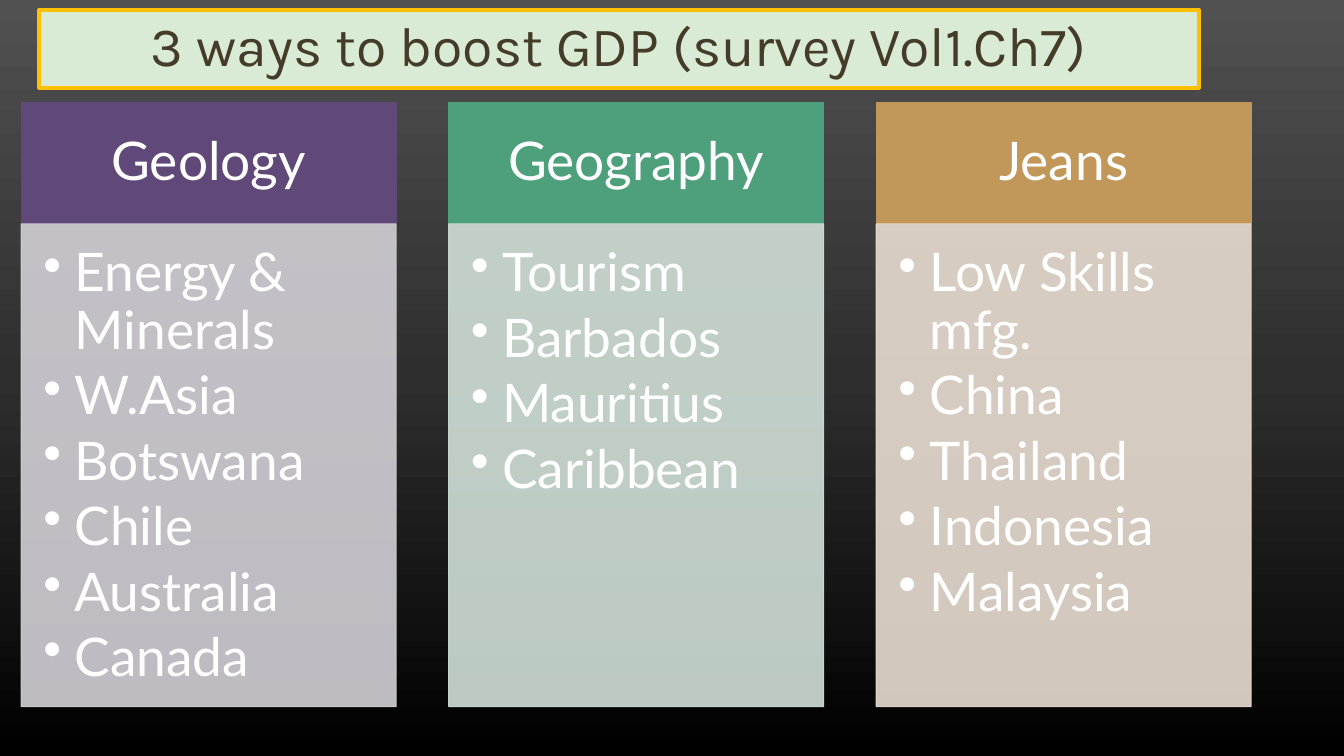
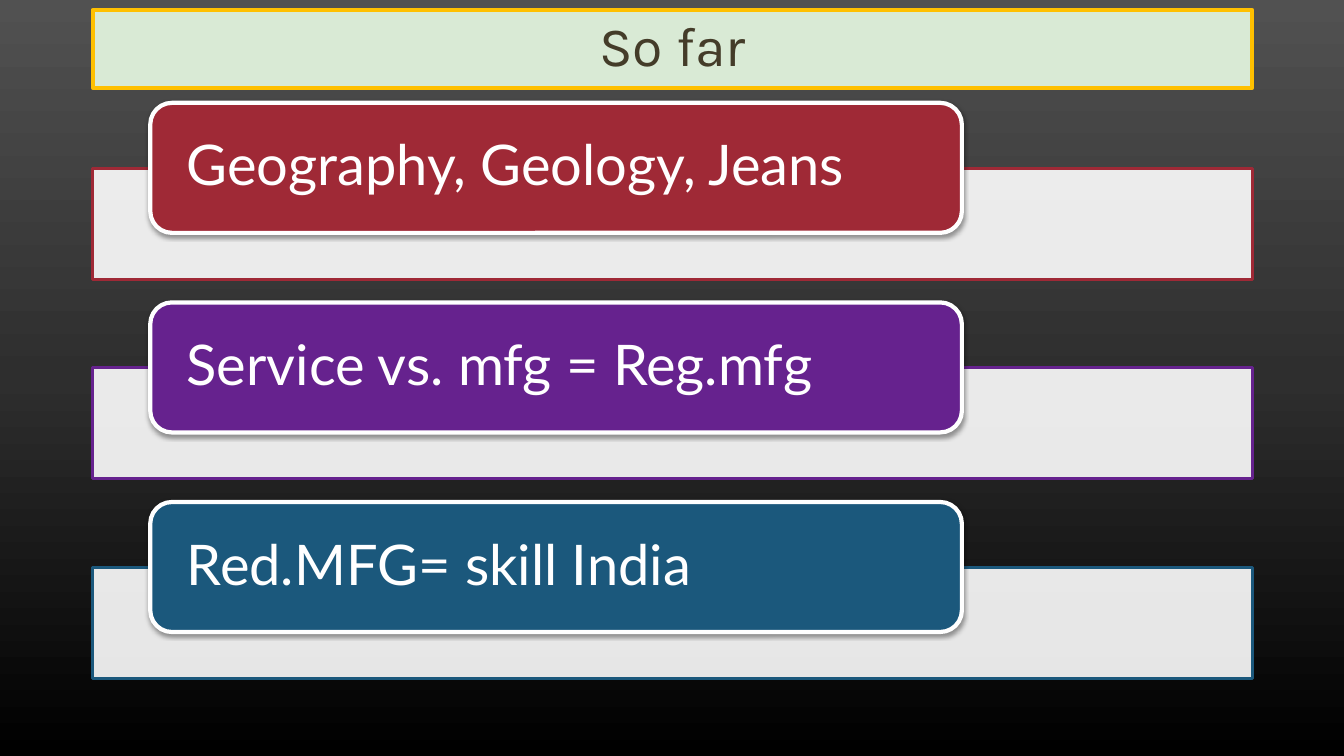
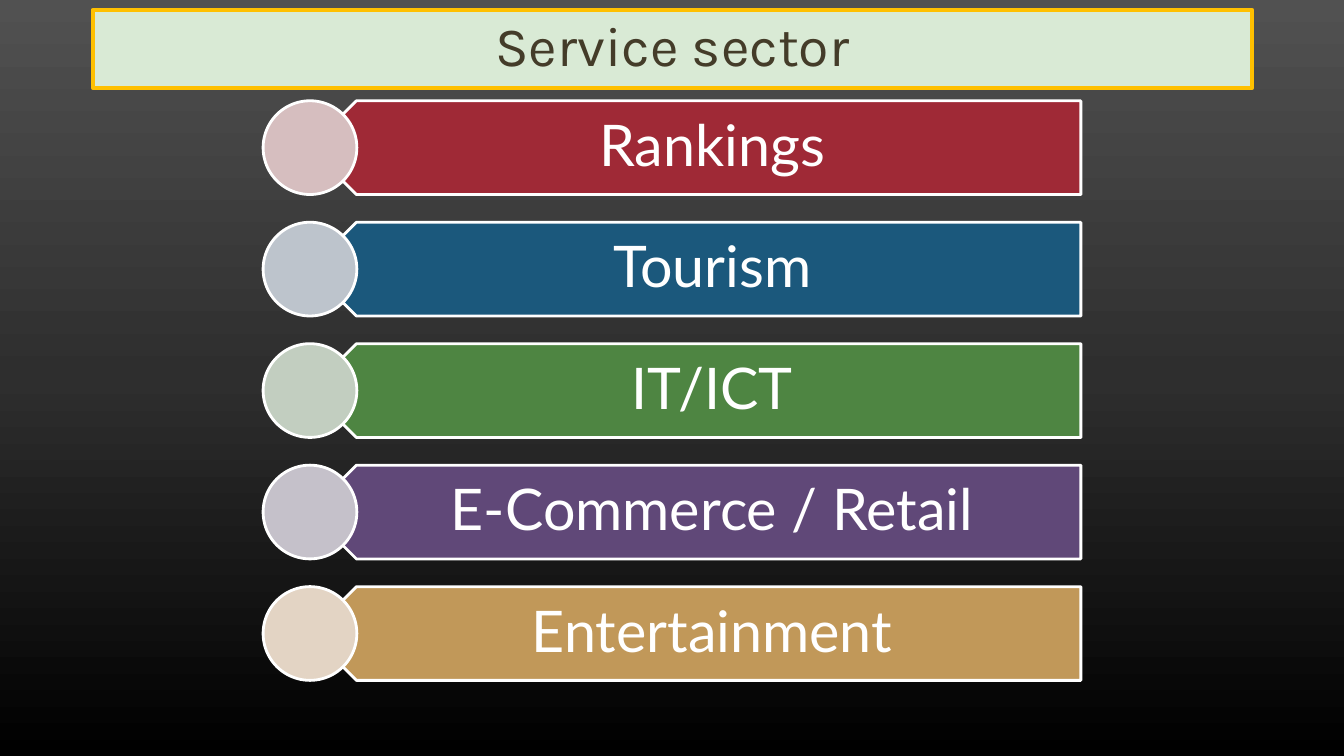
import copy
import lxml.etree
import pptx
import pptx.util
import pptx.dml.color
import pptx.enum.shapes
import pptx.enum.text
import pptx.oxml
import pptx.oxml.ns

Inches = pptx.util.Inches
Pt = pptx.util.Pt
RGBColor = pptx.dml.color.RGBColor
SHAPE = pptx.enum.shapes.MSO_SHAPE
ALIGN = pptx.enum.text.PP_ALIGN
ANCHOR = pptx.enum.text.MSO_ANCHOR
qn = pptx.oxml.ns.qn

WHITE = RGBColor(0xFF, 0xFF, 0xFF)
BROWN = RGBColor(0x44, 0x3C, 0x29)
MINT = RGBColor(0xD9, 0xEA, 0xD5)
GOLD = RGBColor(0xFF, 0xC0, 0x00)
RED = RGBColor(0x9F, 0x29, 0x36)
BLUE = RGBColor(0x1B, 0x58, 0x7C)
GREEN = RGBColor(0x4E, 0x85, 0x42)
PLUM = RGBColor(0x60, 0x48, 0x78)
TAN = RGBColor(0xC1, 0x98, 0x59)
TEAL = RGBColor(0x4D, 0xA0, 0x7B)
VIOLET = RGBColor(0x66, 0x22, 0x8E)
PALE_PLUM = RGBColor(0xD2, 0xCF, 0xD6)
PALE_TEAL = RGBColor(0xD0, 0xE0, 0xD7)
PALE_TAN = RGBColor(0xE9, 0xDD, 0xD1)
DOT_RED = RGBColor(0xD6, 0xBE, 0xBF)
DOT_BLUE = RGBColor(0xBD, 0xC4, 0xCC)
DOT_GREEN = RGBColor(0xC2, 0xCE, 0xC0)
DOT_PLUM = RGBColor(0xC5, 0xC1, 0xCA)
DOT_TAN = RGBColor(0xE3, 0xD4, 0xC4)
BACK = [
    (0, RGBColor(0x51, 0x51, 0x51)),
    (0.5, RGBColor(0x2E, 0x2E, 0x2E)),
    (1, RGBColor(0x00, 0x00, 0x00)),
]

WAYS = [
    ("Geology", PLUM, PALE_PLUM,
     ["Energy & Minerals", "W.Asia", "Botswana", "Chile", "Australia", "Canada"]),
    ("Geography", TEAL, PALE_TEAL,
     ["Tourism", "Barbados", "Mauritius", "Caribbean"]),
    ("Jeans", TAN, PALE_TAN,
     ["Low Skills mfg.", "China", "Thailand", "Indonesia", "Malaysia"]),
]
POINTS = [
    ("Geography, Geology, Jeans", RED),
    ("Service vs. mfg = Reg.mfg", VIOLET),
    ("Red.MFG= skill India", BLUE),
]
SECTORS = [
    ("Rankings", RED, DOT_RED),
    ("Tourism", BLUE, DOT_BLUE),
    ("IT/ICT", GREEN, DOT_GREEN),
    ("E-Commerce / Retail", PLUM, DOT_PLUM),
    ("Entertainment", TAN, DOT_TAN),
]


def fade(color, share):
    for tint in color.iter(qn("a:srgbClr")):
        lxml.etree.SubElement(tint, qn("a:alpha")).set("val", str(share * 1000))


def draw(slide, kind, box, fill, edge, width):
    shape = slide.shapes.add_shape(kind, *map(Inches, box))
    shape.shadow.inherit = False
    shape.fill.solid()
    shape.fill.fore_color.rgb = fill
    shape.line.color.rgb = edge
    shape.line.width = Pt(width)
    return shape


def write(shape, lines, size, pads, align=ALIGN.CENTER, anchor=ANCHOR.MIDDLE,
          font="Lato", color=WHITE, bullet=False):
    frame = shape.text_frame
    frame.word_wrap = True
    frame.vertical_anchor = anchor
    (frame.margin_left, frame.margin_top,
     frame.margin_right, frame.margin_bottom) = map(Inches, pads)
    frame.text = "\n".join(lines)
    for para in frame.paragraphs:
        para.alignment = align
        para.line_spacing = 0.9
        if bullet:
            para.space_after = Pt(size * 0.15)
            props = para._p.get_or_add_pPr()
            props.set("marL", str(Inches(0.31)))
            props.set("indent", str(-Inches(0.31)))
            lxml.etree.SubElement(props, qn("a:buChar")).set("char", "•")
        for run in para.runs:
            run.font.size = Pt(size)
            run.font.name = font
            run.font.color.rgb = color


def cast(shape):
    effects = shape._element.spPr.find(qn("a:effectLst"))
    shade = lxml.etree.SubElement(effects, qn("a:outerShdw"))
    for key, value in (("blurRad", Pt(3.1)), ("dist", Pt(1.6)),
                       ("dir", 5400000), ("rotWithShape", 0)):
        shade.set(key, str(int(value)))
    tint = lxml.etree.SubElement(shade, qn("a:srgbClr"))
    tint.set("val", "000000")
    lxml.etree.SubElement(tint, qn("a:alpha")).set("val", "38000")


def paint(master):
    fill = master.background.fill
    fill.gradient()
    fill.gradient_angle = 270
    first = fill.gradient_stops[0]._gs
    first.addnext(copy.deepcopy(first))
    for stop, (place, color) in zip(fill.gradient_stops, BACK):
        stop.position = place
        stop.color.rgb = color


def start(deck, title, left=0.92):
    slide = deck.slides.add_slide(deck.slide_layouts[6])
    band = draw(slide, SHAPE.RECTANGLE, (left, 0.1, 11.5, 0.77), MINT, GOLD, 3)
    write(band, [title], 39.6, (0.1, 0.05, 0.1, 0.05), font="Karla", color=BROWN)
    return slide


def show_ways(deck):
    slide = start(deck, "3 ways to boost GDP (survey Vol1.Ch7)", 0.39)
    for i, (name, dark, pale, items) in enumerate(WAYS):
        left = 0.21 + i * 4.24
        head = draw(slide, SHAPE.RECTANGLE, (left, 1.02, 3.72, 1.2), dark, dark, 0.75)
        write(head, [name], 38, (0.3, 0.17, 0.3, 0.17))
        body = draw(slide, SHAPE.RECTANGLE, (left, 2.22, 3.72, 4.79), pale, pale, 0.75)
        fade(body._element.spPr, 90)
        write(body, items, 38, (0.22, 0.22, 0.3, 0.33), ALIGN.LEFT, ANCHOR.TOP,
              bullet=True)


def show_points(deck):
    slide = start(deck, "So far")
    for i, (text, color) in enumerate(POINTS):
        top = 1.02 + i * 1.98
        bar = draw(slide, SHAPE.RECTANGLE, (0.92, top + 0.65, 11.5, 1.1), WHITE, color, 2)
        fade(bar._element.spPr.find(qn("a:solidFill")), 90)
        label = draw(slide, SHAPE.ROUNDED_RECTANGLE, (1.49, top, 8.05, 1.29),
                     color, WHITE, 3)
        cast(label)
        write(label, [text], 40, (0.3, 0, 0.3, 0), ALIGN.LEFT)


def show_sectors(deck):
    slide = start(deck, "Service sector")
    size = 0.93
    for i, (name, dark, pale) in enumerate(SECTORS):
        top = 1 + i * 1.205
        arrow = draw(slide, SHAPE.PENTAGON, (3.07, top, 7.65, size), dark, WHITE, 2)
        arrow.rotation = 180
        label = slide.shapes.add_textbox(*map(Inches, (3.31, top, 7.42, size)))
        write(label, [name], 41, (0.41, 0.17, 0.32, 0.17))
        draw(slide, SHAPE.OVAL, (2.61, top, size, size), pale, WHITE, 2)


def main():
    deck = pptx.Presentation()
    deck.slide_width = Inches(13.33)
    deck.slide_height = Inches(7.5)
    paint(deck.slide_master)
    show_ways(deck)
    show_points(deck)
    show_sectors(deck)
    deck.save("out.pptx")


if __name__ == "__main__":
    main()
